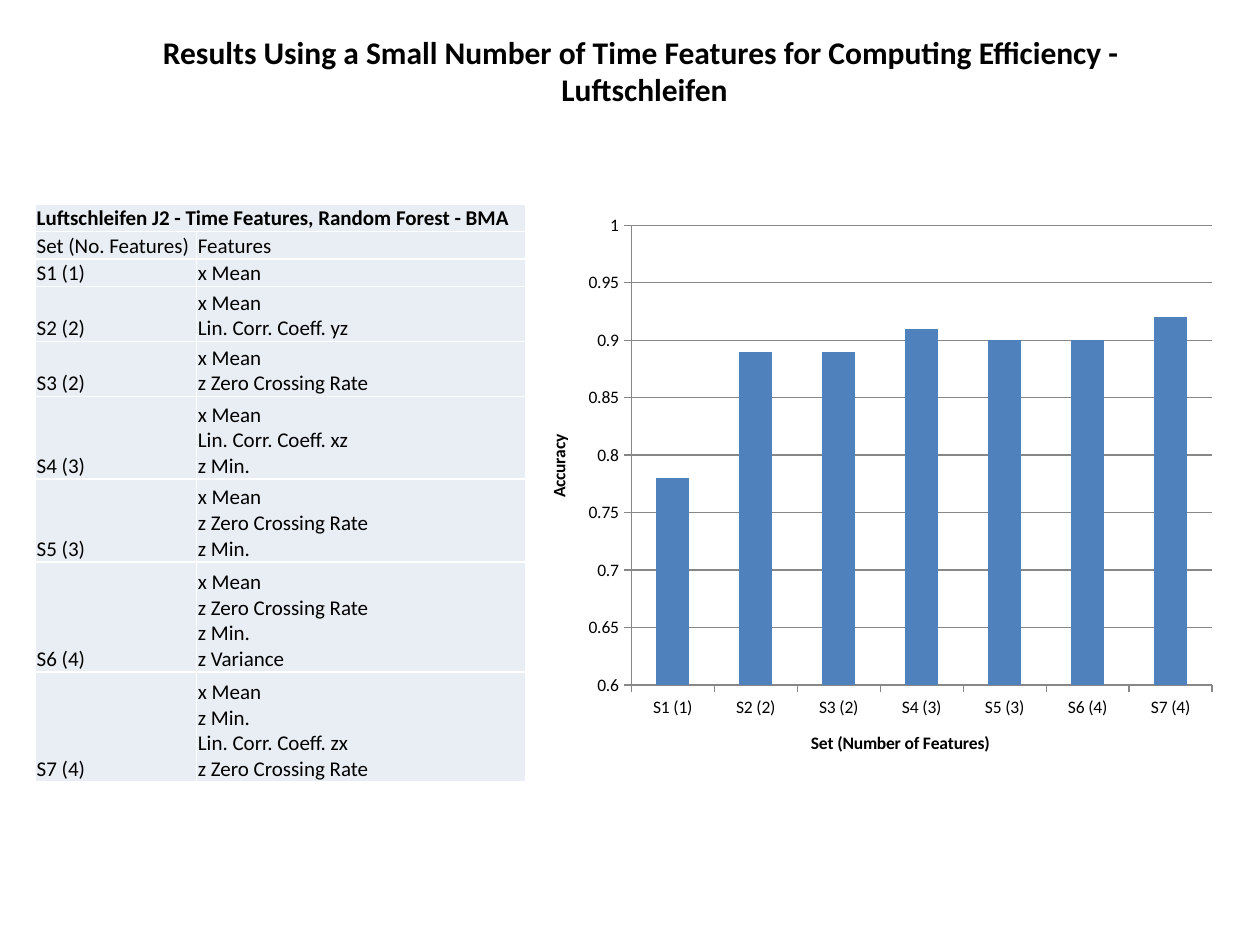
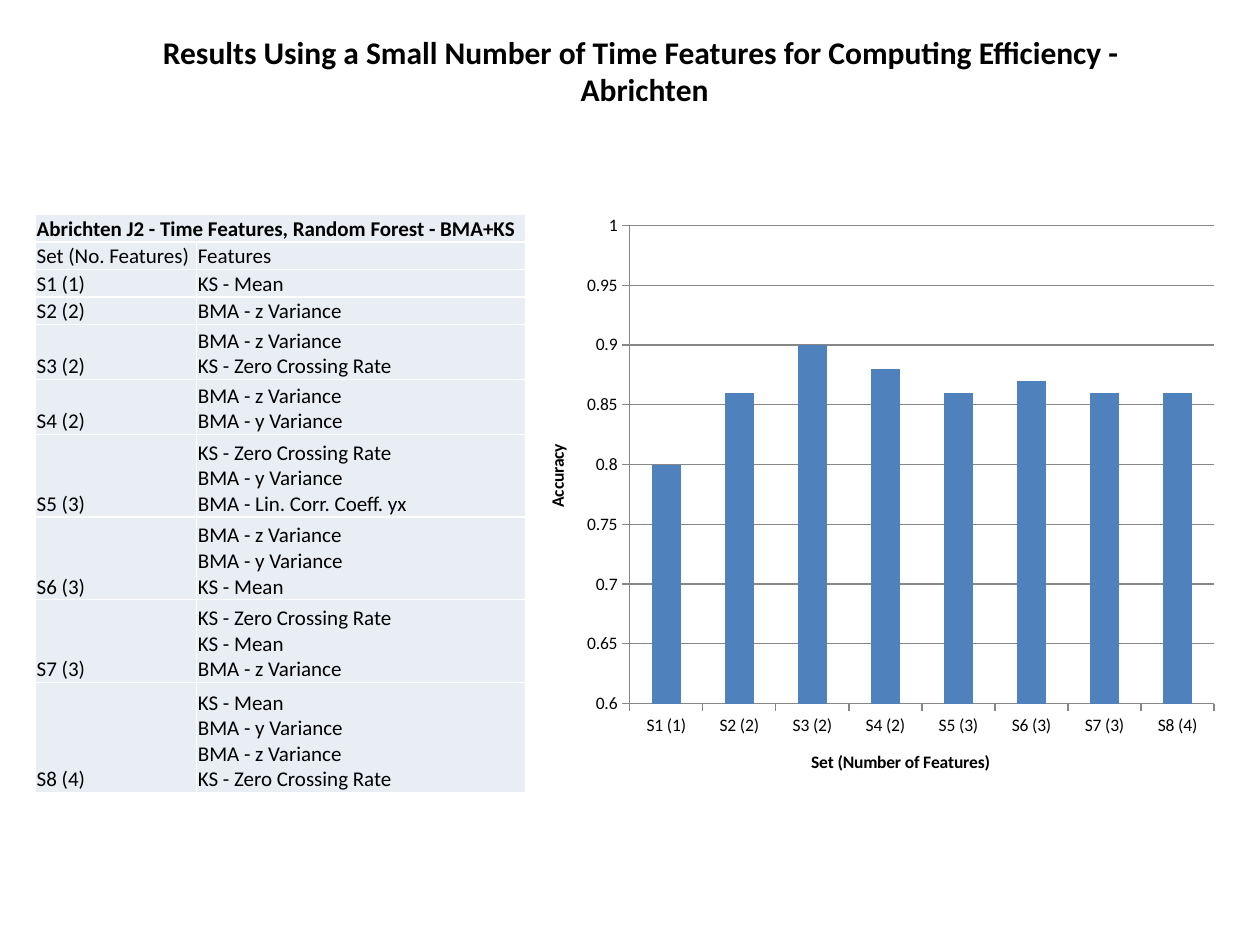
from copy import deepcopy

from lxml.etree import SubElement
from pptx import Presentation
from pptx.chart.data import CategoryChartData
from pptx.dml.color import RGBColor
from pptx.enum.chart import XL_CHART_TYPE, XL_TICK_MARK
from pptx.enum.text import MSO_ANCHOR, MSO_AUTO_SIZE, PP_ALIGN
from pptx.oxml.ns import qn
from pptx.util import Cm, Pt

BLACK = RGBColor(0x00, 0x00, 0x00)
WHITE = RGBColor(0xFF, 0xFF, 0xFF)
CELL_FILL = RGBColor(0xE9, 0xED, 0xF4)
BAR_BLUE = RGBColor(0x4F, 0x81, 0xBD)
AXIS_GREY = RGBColor(0x87, 0x87, 0x87)

TITLE_START = "Results Using a Small Number of Time Features for Computing Efficiency - "
TABLE_HEIGHT = 11.66

# Each set: label, features, accuracy
LUFTSCHLEIFEN_SETS = [
    ("S1 (1)", ["x Mean"], 0.78),
    ("S2 (2)", ["x Mean", "Lin. Corr. Coeff. yz"], 0.89),
    ("S3 (2)", ["x Mean", "z Zero Crossing Rate"], 0.89),
    ("S4 (3)", ["x Mean", "Lin. Corr. Coeff. xz", "z Min."], 0.91),
    ("S5 (3)", ["x Mean", "z Zero Crossing Rate", "z Min."], 0.9),
    ("S6 (4)", ["x Mean", "z Zero Crossing Rate", "z Min.", "z Variance"], 0.9),
    ("S7 (4)", ["x Mean", "z Min.", "Lin. Corr. Coeff. zx", "z Zero Crossing Rate"], 0.92),
]
ABRICHTEN_SETS = [
    ("S1 (1)", ["KS - Mean"], 0.8),
    ("S2 (2)", ["BMA - z Variance"], 0.86),
    ("S3 (2)", ["BMA - z Variance", "KS - Zero Crossing Rate"], 0.9),
    ("S4 (2)", ["BMA - z Variance", "BMA - y Variance"], 0.88),
    ("S5 (3)", ["KS - Zero Crossing Rate", "BMA - y Variance", "BMA - Lin. Corr. Coeff. yx"], 0.86),
    ("S6 (3)", ["BMA - z Variance", "BMA - y Variance", "KS - Mean"], 0.87),
    ("S7 (3)", ["KS - Zero Crossing Rate", "KS - Mean", "BMA - z Variance"], 0.86),
    ("S8 (4)", ["KS - Mean", "BMA - y Variance", "BMA - z Variance", "KS - Zero Crossing Rate"], 0.86),
]


def set_all(target, values):
    for name, value in values.items():
        setattr(target, name, value)


class ResultDeck:
    """Holds the shared style and the current slide."""

    font_name = "Calibri"

    def __init__(self):
        self.deck = Presentation()
        self.deck.slide_width, self.deck.slide_height = Cm(25.4), Cm(19.05)
        self.page = None

    def style_font(self, font, size, bold):
        set_all(font, {"name": self.font_name, "size": Pt(size), "bold": bold})
        font.color.rgb = BLACK

    def fill_text(self, frame, lines, size, bold=False):
        """Put lines in one paragraph, with line breaks of the same style."""
        frame.text = "\v".join(lines)
        para = frame.paragraphs[0]
        for span in para.runs:
            self.style_font(span.font, size, bold)
        for line_break in para._p.findall(qn("a:br")):
            line_break.insert(0, deepcopy(para.runs[0]._r.rPr))
        return para

    def add_page(self, process):
        self.page = self.deck.slides.add_slide(self.deck.slide_layouts[5])
        title = self.page.shapes.title
        set_all(title, {"left": Cm(1.3), "top": Cm(0.53), "width": Cm(23.39), "height": Cm(1.8)})
        para = self.fill_text(title.text_frame, [TITLE_START, process], 18, True)
        para.alignment = PP_ALIGN.CENTER
        set_all(title.text_frame, {"word_wrap": True, "vertical_anchor": MSO_ANCHOR.TOP,
                                   "auto_size": MSO_AUTO_SIZE.SHAPE_TO_FIT_TEXT})

    def format_cell(self, cell):
        set_all(cell, {"margin_left": Cm(0.03), "margin_right": Cm(0.03), "margin_top": Cm(0.03),
                       "margin_bottom": 0, "vertical_anchor": MSO_ANCHOR.BOTTOM})
        # Borders come before the fill in the cell properties
        properties = cell._tc.get_or_add_tcPr()
        for side in ("lnL", "lnR", "lnT", "lnB"):
            line = SubElement(properties, qn(f"a:{side}"), w=str(int(Pt(1))))
            SubElement(SubElement(line, qn("a:solidFill")), qn("a:srgbClr"), val=str(WHITE))
        cell.fill.solid()
        cell.fill.fore_color.rgb = CELL_FILL

    def add_feature_table(self, heading, sets, top):
        rows = [([heading], []), (["Set (No. Features)"], ["Features"])]
        rows += [([label], features) for label, features, _ in sets]
        line_counts = [max(len(name), len(features)) for name, features in rows]
        line_height = TABLE_HEIGHT / sum(line_counts)

        table = self.page.shapes.add_table(
            len(rows), 2, Cm(0.71), Cm(top), Cm(9.88), Cm(TABLE_HEIGHT)).table
        set_all(table, {"first_row": False, "horz_banding": False})
        for column, width in zip(table.columns, (3.25, 6.63)):
            column.width = Cm(width)
        for index, texts in enumerate(rows):
            table.rows[index].height = Cm(line_height * line_counts[index])
            for cell, lines in zip(table.rows[index].cells, texts):
                self.format_cell(cell)
                if lines:
                    self.fill_text(cell.text_frame, lines, 12, bold=index == 0)
        table.cell(0, 0).merge(table.cell(0, 1))

    def format_axis(self, axis, title):
        self.fill_text(axis.axis_title.text_frame, [title], 10, True)
        set_all(axis, {"major_tick_mark": XL_TICK_MARK.OUTSIDE,
                       "minor_tick_mark": XL_TICK_MARK.NONE})
        axis.format.line.color.rgb = AXIS_GREY
        axis.format.line.width = Pt(0.75)

    def add_accuracy_chart(self, sets, left, width, height):
        data = CategoryChartData()
        data.categories = [label for label, _, _ in sets]
        data.add_series("Series 1", [accuracy for _, _, accuracy in sets])
        chart = self.page.shapes.add_chart(
            XL_CHART_TYPE.COLUMN_CLUSTERED, Cm(left), Cm(4.11), Cm(width), Cm(height), data).chart
        set_all(chart, {"has_title": False, "has_legend": False})
        self.style_font(chart.font, 10, False)

        # Bars
        plot = chart.plots[0]
        set_all(plot, {"gap_width": 150, "vary_by_categories": False})
        bars = plot.series[0].format.fill
        bars.solid()
        bars.fore_color.rgb = BAR_BLUE

        # Axes
        self.format_axis(chart.category_axis, "Set (Number of Features)")
        self.format_axis(chart.value_axis, "Accuracy")
        set_all(chart.value_axis, {"minimum_scale": 0.6, "maximum_scale": 1,
                                   "major_unit": 0.05, "has_major_gridlines": True})
        set_all(chart.value_axis.tick_labels,
                {"number_format": "General", "number_format_is_linked": False})
        grid = chart.value_axis.major_gridlines.format.line
        grid.color.rgb = AXIS_GREY
        grid.width = Pt(0.75)


def main():
    results = ResultDeck()

    # Luftschleifen
    results.add_page("Luftschleifen")
    results.add_feature_table("Luftschleifen J2 - Time Features, Random Forest - BMA",
                              LUFTSCHLEIFEN_SETS, top=4.11)
    results.add_accuracy_chart(LUFTSCHLEIFEN_SETS, left=10.52, width=14.2, height=11.61)

    # Abrichten
    results.add_page("Abrichten")
    results.add_feature_table("Abrichten J2 - Time Features, Random Forest - BMA+KS",
                              ABRICHTEN_SETS, top=4.32)
    results.add_accuracy_chart(ABRICHTEN_SETS, left=10.49, width=14.27, height=11.99)

    results.deck.save("out.pptx")


if __name__ == "__main__":
    main()
